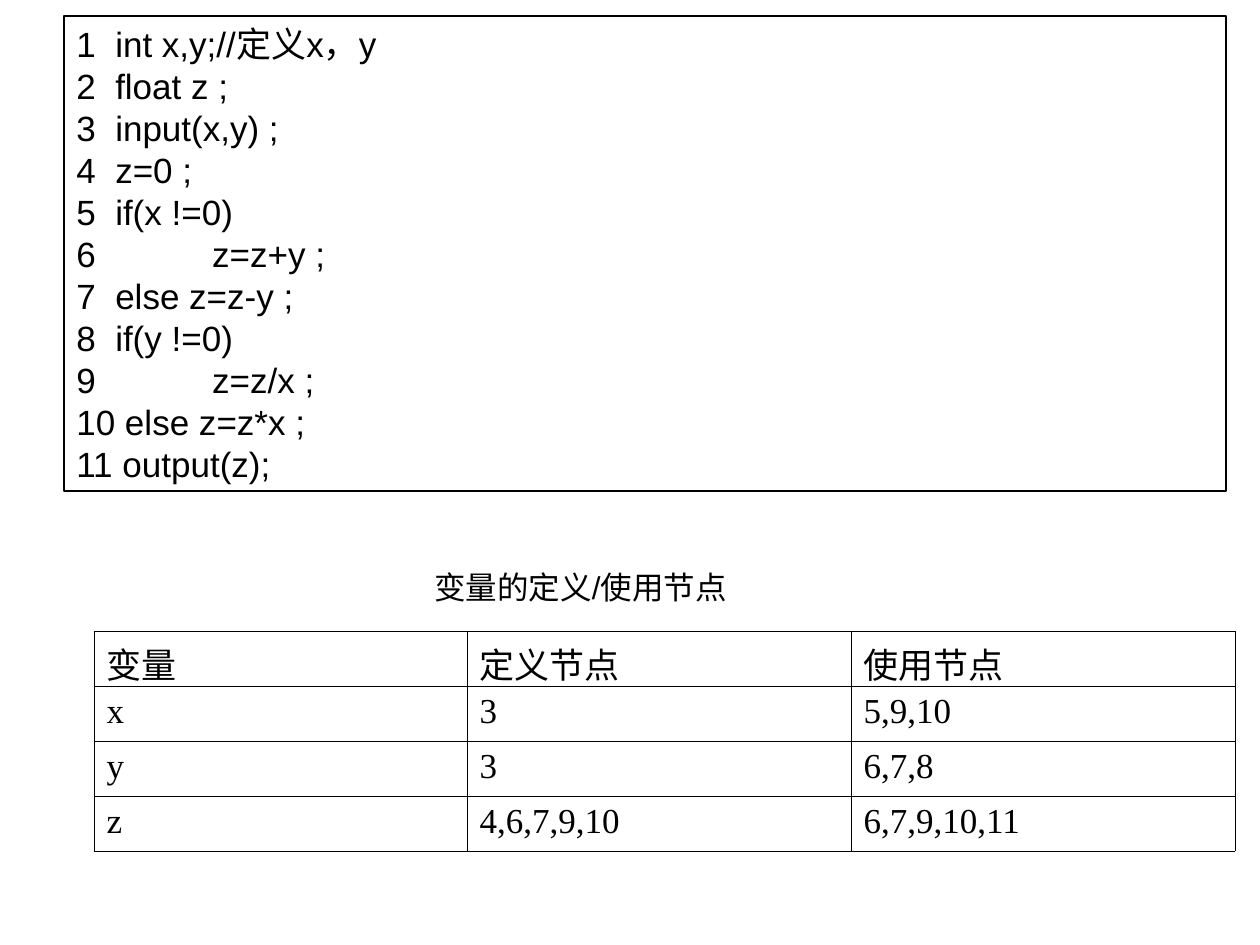
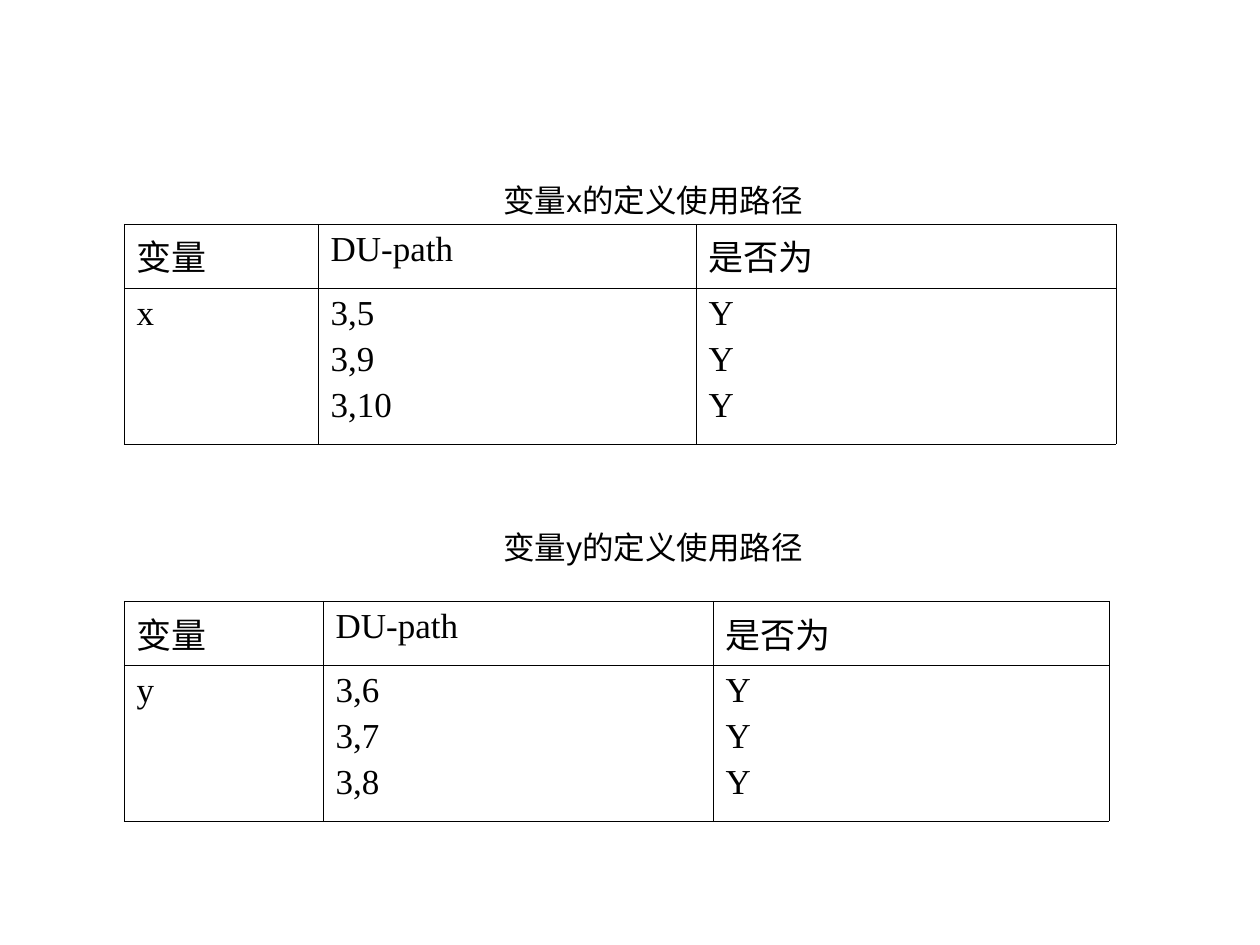
from dataclasses import dataclass

from lxml import etree
from pptx import Presentation
from pptx import util as u
from pptx.dml.color import RGBColor
from pptx.enum import shapes, text
from pptx.oxml import ns

PX = 914400 // 126


@dataclass(frozen=True)
class Theme:
    ink: RGBColor = RGBColor(0, 0, 0)
    paper: RGBColor = RGBColor(255, 255, 255)
    sans: str = "Arial"
    serif: str = "Times New Roman"
    body: int = 20
    label: int = 18
    frame: float = 0.75
    hair: float = 0.23


THEME = Theme()

CODE = """1  int x,y;//定义x，y
2  float z ;
3  input(x,y) ;
4  z=0 ;
5  if(x !=0)
6	 z=z+y ;
7  else z=z-y ;
8  if(y !=0)
9	 z=z/x ;
10 else z=z*x ;
11 output(z);"""

NODES = [
    ["变量", "定义节点", "使用节点"],
    ["x", "3", "5,9,10"],
    ["y", "3", "6,7,8"],
    ["z", "4,6,7,9,10", "6,7,9,10,11"],
]


def px(*nums):
    return [n * PX for n in nums]


def add_tab(para):
    """Set a tab stop one inch in."""
    tabs = etree.SubElement(para._p.get_or_add_pPr(), ns.qn("a:tabLst"))
    etree.SubElement(tabs, ns.qn("a:tab"), pos=str(u.Inches(1)), algn="l")


def write(frame, words, size=THEME.body, font=THEME.sans, gap=0, pitch=None, tab=False):
    for i, line in enumerate(words.split("\n")):
        para = frame.add_paragraph() if i else frame.paragraphs[0]
        para.alignment = text.PP_ALIGN.LEFT
        if i and gap:
            para.space_before = u.Pt(gap)
        if pitch:
            para.line_spacing = u.Pt(pitch)
        if tab:
            add_tab(para)
        run = para.add_run()
        run.text = line
        run.font.size = u.Pt(size)
        run.font.name = font
        run.font.color.rgb = THEME.ink


def add_code(slide, box):
    rect = slide.shapes.add_shape(shapes.MSO_SHAPE.RECTANGLE, *px(*box))
    rect.shadow.inherit = False
    rect.fill.solid()
    rect.fill.fore_color.rgb = THEME.paper
    rect.line.color.rgb = THEME.ink
    rect.line.width = u.Pt(THEME.frame)
    rect.text_frame.word_wrap = True
    rect.text_frame.vertical_anchor = text.MSO_ANCHOR.TOP
    write(rect.text_frame, CODE, pitch=24, tab=True)


def add_label(slide, box, words):
    frame = slide.shapes.add_textbox(*px(*box)).text_frame
    frame.word_wrap = True
    write(frame, words, size=THEME.label)


def edge(cell):
    """Draw a hairline on all four sides of a cell."""
    props = cell._tc.get_or_add_tcPr()
    for i, side in enumerate("LRTB"):
        line = etree.Element(ns.qn(f"a:ln{side}"), w=str(u.Pt(THEME.hair)))
        fill = etree.SubElement(line, ns.qn("a:solidFill"))
        etree.SubElement(fill, ns.qn("a:srgbClr"), val=str(THEME.ink))
        props.insert(i, line)


def add_grid(slide, spot, cols, rows, cells):
    box = (*spot, sum(cols), sum(rows))
    table = slide.shapes.add_table(len(rows), len(cols), *px(*box)).table
    table.first_row = table.horz_banding = False
    for col, wide in zip(table.columns, px(*cols)):
        col.width = wide
    for row, high, line in zip(table.rows, px(*rows), cells):
        row.height = high
        for cell, words in zip(row.cells, line):
            cell.fill.background()
            edge(cell)
            write(cell.text_frame, words, font=THEME.serif, gap=4)


def add_paths(slide, spot, cols, drop, name, paths):
    """Place a variable's path table, with its label drop px above it."""
    left, top = spot
    add_label(slide, (left + 367, top - drop, 370, 50), f"变量{name}的定义使用路径")
    marks = "\n".join("Y" for _ in paths)
    cells = [["变量", "DU-path", "是否为"], [name, "\n".join(paths), marks]]
    add_grid(slide, spot, cols, (64, 156), cells)


def nodes_slide(slide):
    add_code(slide, (64, 16, 1162, 475))
    add_label(slide, (422, 562, 391, 50), "变量的定义/使用节点")
    add_grid(slide, (94, 631), (373, 384, 384), [55] * len(NODES), NODES)


def paths_slide(slide):
    add_paths(slide, (124, 224), (194, 378, 420), 49, "x", ["3,5", "3,9", "3,10"])
    add_paths(slide, (124, 601), (199, 390, 396), 79, "y", ["3,6", "3,7", "3,8"])


def main():
    deck = Presentation()
    deck.slide_width, deck.slide_height = px(1260, 945)
    blank = deck.slide_layouts[6]
    for build in (nodes_slide, paths_slide):
        build(deck.slides.add_slide(blank))
    deck.save("out.pptx")


if __name__ == "__main__":
    main()
